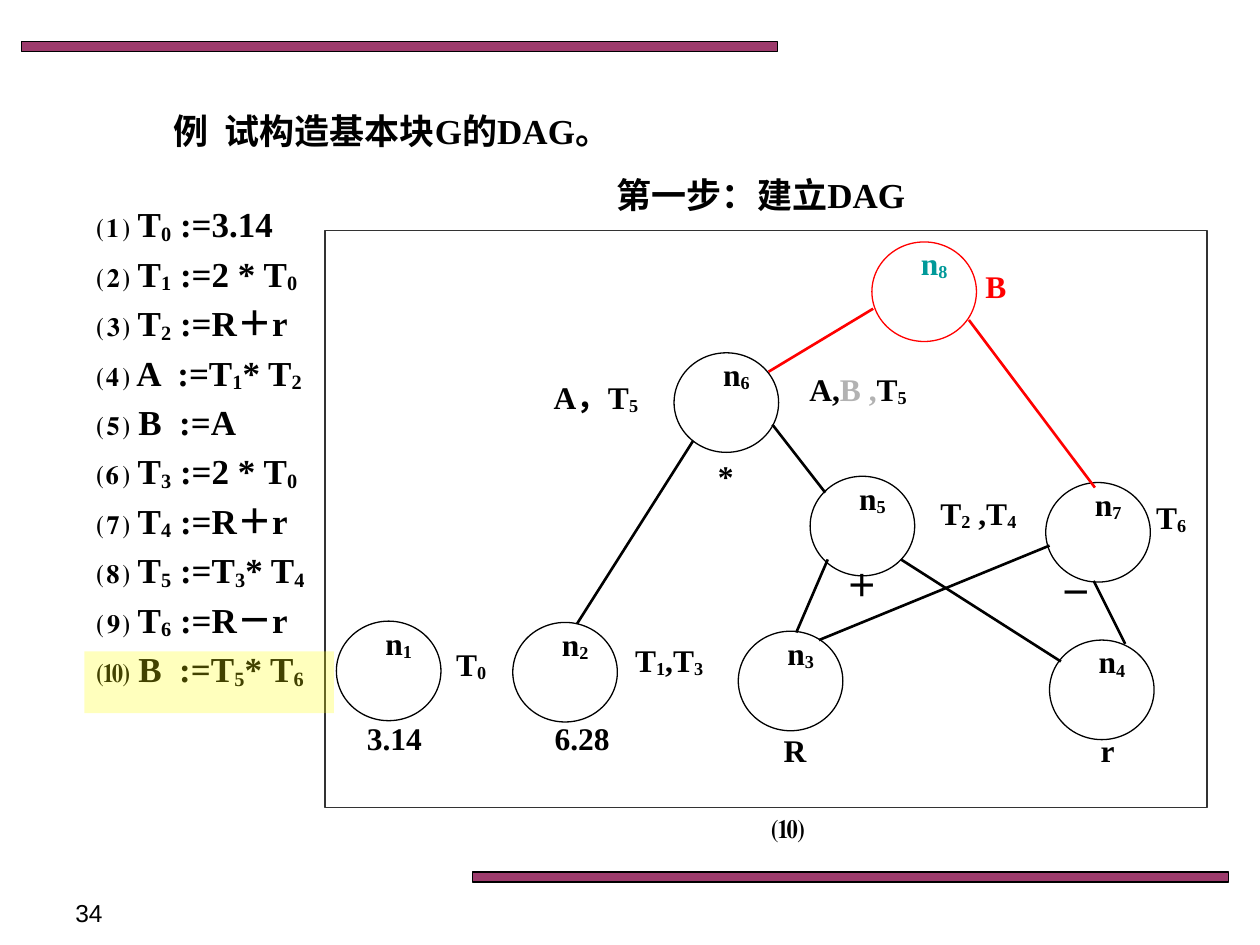
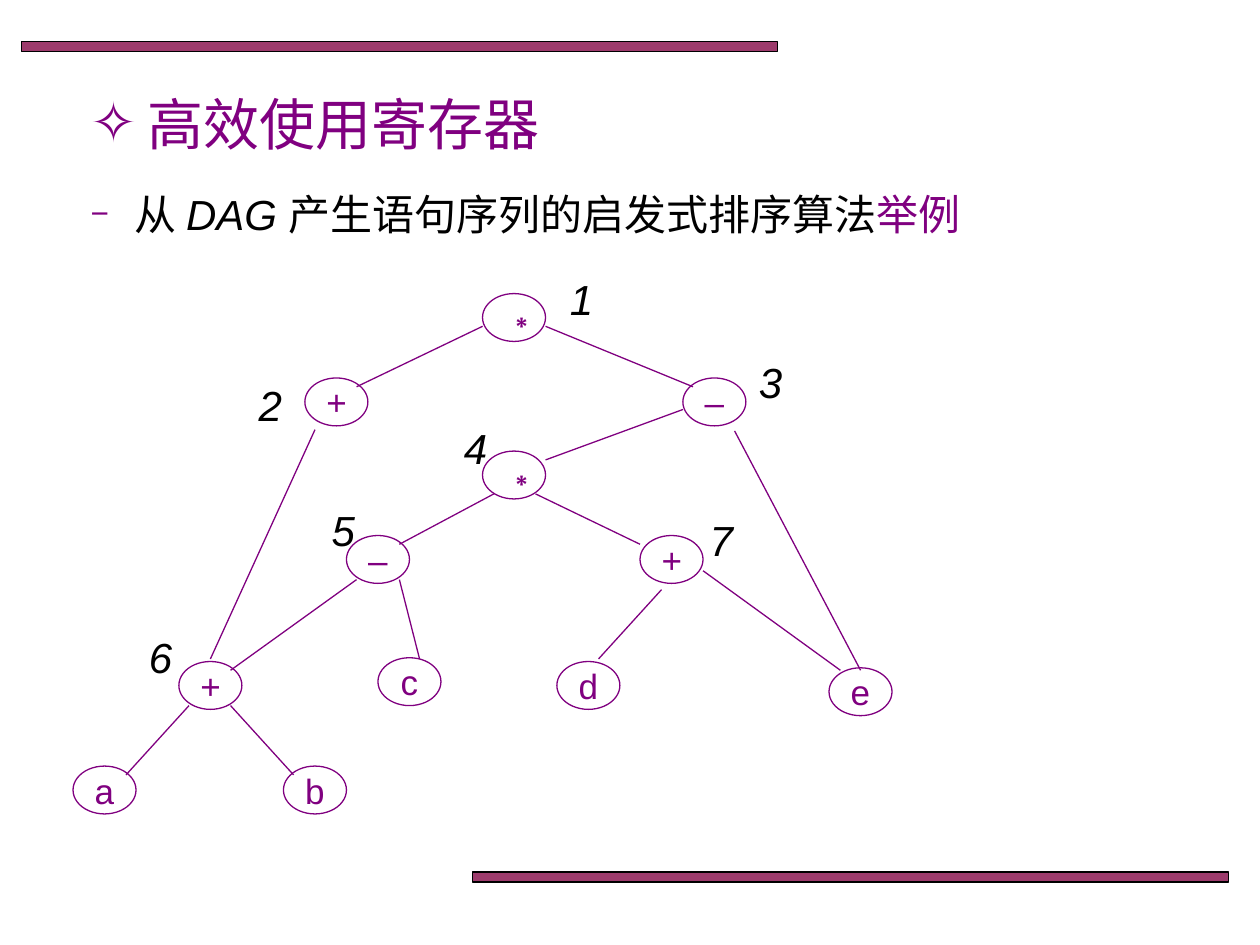
from lxml import etree
from pptx import Presentation
from pptx.dml.color import RGBColor
from pptx.enum import shapes, text
from pptx.oxml.ns import qn
from pptx.util import Inches, Pt

BLACK, PURPLE, RED = "000000", "800080", "FF0000"
TEAL, GREY, DARK = "009999", "B2B2B2", "333333"
BAND, YELLOW = "993366", "FFFF00"
SERIF, SANS = "Times New Roman", "Arial"
LEFT, CENTER = text.PP_ALIGN.LEFT, text.PP_ALIGN.CENTER

STATEMENTS = [
    "⑴ T_0 :=3.14", "⑵ T_1 :=2 * T_0", "⑶ T_2 :=R＋r", "⑷ A  :=T_1* T_2",
    "⑸ B  :=A", "⑹ T_3 :=2 * T_0", "⑺ T_4 :=R＋r", "⑻ T_5 :=T_3* T_4",
    "⑼ T_6 :=R－r", "⑽ B  :=T_5* T_6",
]

DAG_NODES = [
    ("1", 2.67, 4.93), ("2", 4.07, 4.94), ("3", 5.86, 5.01), ("4", 8.33, 5.08),
    ("5", 6.43, 3.78), ("6", 5.35, 2.8), ("7", 8.3, 3.83),
]
DAG_LABELS = [
    ("T_0", 3.45, 5.07, 0.58), ("3.14", 2.67, 5.66, 0.92),
    ("T_1,T_3", 4.8, 5.04, 1.02), ("6.28", 4.16, 5.66, 0.92),
    ("R", 5.97, 5.75, 0.68), ("r", 8.33, 5.75, 0.92),
    ("＋", 6.55, 4.44, 0.58), ("T_2 ,T_4", 7.2, 3.87, 1.13),
    ("*", 5.47, 3.58, 0.58), ("T_6", 9.03, 3.9, 0.53),
    ("－", 8.25, 4.5, 0.58), ("A，T_5", 4.23, 2.95, 1),
]
DAG_EDGES = [
    (6.57, 4.44, 6.32, 5.02), (8.42, 5.25, 7.15, 4.44), (5.5, 3.5, 4.58, 4.95),
    (6.13, 3.37, 6.55, 3.91), (6.5, 5.08, 8.33, 4.33), (8.68, 4.61, 8.93, 5.11),
]
ROOT_EDGES = [(6.93, 2.45, 6.1, 2.95), (7.69, 2.54, 8.69, 3.87)]

TREE_NODES = [
    ("+", 2.42, 3), ("+", 1.42, 5.25), ("+", 5.08, 4.25), ("–", 2.75, 4.25),
    ("–", 5.42, 3), ("∗", 3.83, 2.33), ("∗", 3.83, 3.58), ("a", 0.58, 6.08),
    ("b", 2.25, 6.08), ("c", 3, 5.22), ("d", 4.42, 5.25), ("e", 6.58, 5.3),
]
TREE_EDGES = [
    (2.5, 3.41, 1.67, 5.23), (3.83, 2.59, 2.83, 3.07), (4.33, 2.59, 5.5, 3.07),
    (1.5, 5.6, 1, 6.15), (2.83, 4.6, 1.83, 5.32), (3.92, 3.92, 3.17, 4.32),
    (5.42, 3.25, 4.33, 3.65), (5.25, 4.68, 4.75, 5.23), (2.33, 6.15, 1.83, 5.6),
    (3.17, 4.6, 3.33, 5.23), (4.25, 3.92, 5.08, 4.32), (5.58, 4.53, 6.67, 5.32),
    (5.83, 3.42, 6.83, 5.32),
]
VISIT_ORDER = [(4.42, 2.17), (1.95, 3.01), (5.92, 2.83), (3.58, 3.35),
               (2.53, 4), (1.08, 5.01), (5.53, 4.08)]


def rgb(color):
    return RGBColor.from_string(color)


def style(font, size, color, name, bold=False, italic=False):
    font.size, font.name = Pt(size), name
    font.bold, font.italic = bold, italic
    font.color.rgb = rgb(color)


def add_runs(p, marked, color=None):
    plain, *rest = marked.split("_")
    pieces = [(plain, False)]
    for part in rest:
        pieces += [(part[0], True), (part[1:], False)]
    for piece, lowered in pieces:
        if piece:
            r = p.add_run()
            r.text = piece
            if lowered:
                r.font._element.set("baseline", "-10000")
            if color:
                r.font.color.rgb = rgb(color)


def add_text(s, box, lines, size, color=BLACK, name=SERIF, bold=False,
             italic=False, align=CENTER, inset=(0.1, 0.05), gap=0):
    tf = s.shapes.add_textbox(*map(Inches, box)).text_frame
    tf.word_wrap = True
    tf.margin_left = tf.margin_right = Inches(inset[0])
    tf.margin_top = tf.margin_bottom = Inches(inset[1])
    for i, line in enumerate(lines):
        p = tf.add_paragraph() if i else tf.paragraphs[0]
        p.alignment, p.space_before = align, Pt(gap)
        style(p.font, size, color, name, bold, italic)
        add_runs(p, line)
    return tf.paragraphs[0]


def add_label(s, marked, x, y, w, color=BLACK, size=18):
    return add_text(s, (x, y, w, 0.5), [marked], size, color, bold=True)


def add_bullet(p, char, indent, percent):
    pPr = p._p.get_or_add_pPr()
    pPr.set("marL", str(Inches(indent)))
    pPr.set("indent", str(-Inches(indent)))
    color = etree.Element(qn("a:buClr"))
    etree.SubElement(color, qn("a:srgbClr"), val=PURPLE)
    size = etree.Element(qn("a:buSzPct"), val=str(percent * 1000))
    font = etree.Element(qn("a:buFont"), typeface=SANS)
    mark = etree.Element(qn("a:buChar"), char=char)
    at = len(pPr.findall(qn("a:lnSpc")) + pPr.findall(qn("a:spcBef")))
    for i, child in enumerate((color, size, font, mark)):
        pPr.insert(at + i, child)


def add_shape(s, kind, box, line=None, fill=None, opacity=100):
    sp = s.shapes.add_shape(kind, *map(Inches, box))
    sp.shadow.inherit = False
    if fill:
        sp.fill.solid()
        sp.fill.fore_color.rgb = rgb(fill)
        clr = sp._element.spPr.find(qn("a:solidFill"))[0]
        etree.SubElement(clr, qn("a:alpha"), val=str(opacity * 1000))
    else:
        sp.fill.background()
    if line:
        sp.line.color.rgb = rgb(line)
        sp.line.width = Pt(0.75)
    else:
        sp.line.fill.background()
    return sp


def add_edges(s, edges, color, width):
    for ends in edges:
        c = s.shapes.add_connector(shapes.MSO_CONNECTOR.STRAIGHT, *map(Inches, ends))
        c.line.color.rgb = rgb(color)
        c.line.width = Pt(width)
        etree.SubElement(c._element.spPr, qn("a:effectLst"))


def add_dag_node(s, number, x, y, line=BLACK, color=BLACK):
    add_shape(s, shapes.MSO_SHAPE.OVAL, (x, y, 0.83, 0.79), line)
    add_label(s, "n_" + number, x + 0.11, y - 0.03, 0.77, color)


def add_tree_node(s, symbol, x, y):
    sp = add_shape(s, shapes.MSO_SHAPE.OVAL, (x, y, 0.5, 0.38), PURPLE)
    tf = sp.text_frame
    tf.vertical_anchor = text.MSO_ANCHOR.MIDDLE
    tf.margin_left = tf.margin_right = Inches(0.1)
    tf.margin_top = tf.margin_bottom = 0
    p = tf.paragraphs[0]
    p.alignment = CENTER
    style(p.font, 20, PURPLE, SANS)
    add_runs(p, symbol)


def add_slide(prs):
    s = prs.slides.add_slide(prs.slide_layouts[6])
    for x, y in ((0.17, 0.33), (3.75, 6.92)):
        add_shape(s, shapes.MSO_SHAPE.RECTANGLE, (x, y, 6, 0.08), BLACK, BAND, 96)
    return s


def build_dag_slide(prs):
    s = add_slide(prs)
    add_text(s, (0.5, 7.08, 2.33, 0.27), ["34"], 14, name=SANS, align=LEFT)
    add_label(s, "例  试构造基本块G的DAG。", 0.58, 0.82, 5.06, size=20)
    add_label(s, "第一步：建立DAG", 3.33, 1.33, 5.42, size=20)
    add_text(s, (0.67, 1.56, 2.42, 4.07), STATEMENTS, 20, bold=True, align=LEFT, gap=4)
    add_shape(s, shapes.MSO_SHAPE.RECTANGLE, (2.58, 1.83, 7, 4.58), DARK)
    add_label(s, "⑽", 5.92, 6.33, 0.67, size=20)
    for node in DAG_NODES:
        add_dag_node(s, *node)
    for label in DAG_LABELS:
        add_label(s, *label)
    p = add_label(s, "A,", 6.12, 2.89, 1.38)
    add_runs(p, "B ,", GREY)
    add_runs(p, "T_5")
    add_edges(s, DAG_EDGES, BLACK, 1.5)
    add_dag_node(s, "8", 6.92, 1.92, RED, TEAL)
    add_label(s, "B", 7.67, 2.07, 0.47, RED)
    add_edges(s, ROOT_EDGES, RED, 1.5)
    add_shape(s, shapes.MSO_SHAPE.RECTANGLE, (0.67, 5.17, 1.98, 0.49),
              fill=YELLOW, opacity=26)


def build_tree_slide(prs):
    s = add_slide(prs)
    p = add_text(s, (0.62, 0.66, 4.09, 0.64), ["高效使用寄存器"], 32, PURPLE, SANS, align=LEFT)
    add_bullet(p, "✧", 0.45, 100)
    p = add_text(s, (0.62, 1.45, 8.92, 0.5), ["从 "], 24, name=SANS, align=LEFT)
    add_bullet(p, "−", 0.35, 75)
    add_runs(p, "DAG ")
    p.runs[-1].font.italic = True
    add_runs(p, "产生语句序列的启发式排序算法")
    add_runs(p, "举例", PURPLE)
    for node in TREE_NODES:
        add_tree_node(s, *node)
    add_edges(s, TREE_EDGES, PURPLE, 0.75)
    for number, (x, y) in enumerate(VISIT_ORDER, 1):
        add_text(s, (x, y, 0.39, 0.32), [str(number)], 24, name=SANS,
                 italic=True, inset=(0, 0))


def main():
    prs = Presentation()
    prs.slide_width, prs.slide_height = Inches(10), Inches(7.5)
    build_dag_slide(prs)
    build_tree_slide(prs)
    prs.save("out.pptx")


if __name__ == "__main__":
    main()
